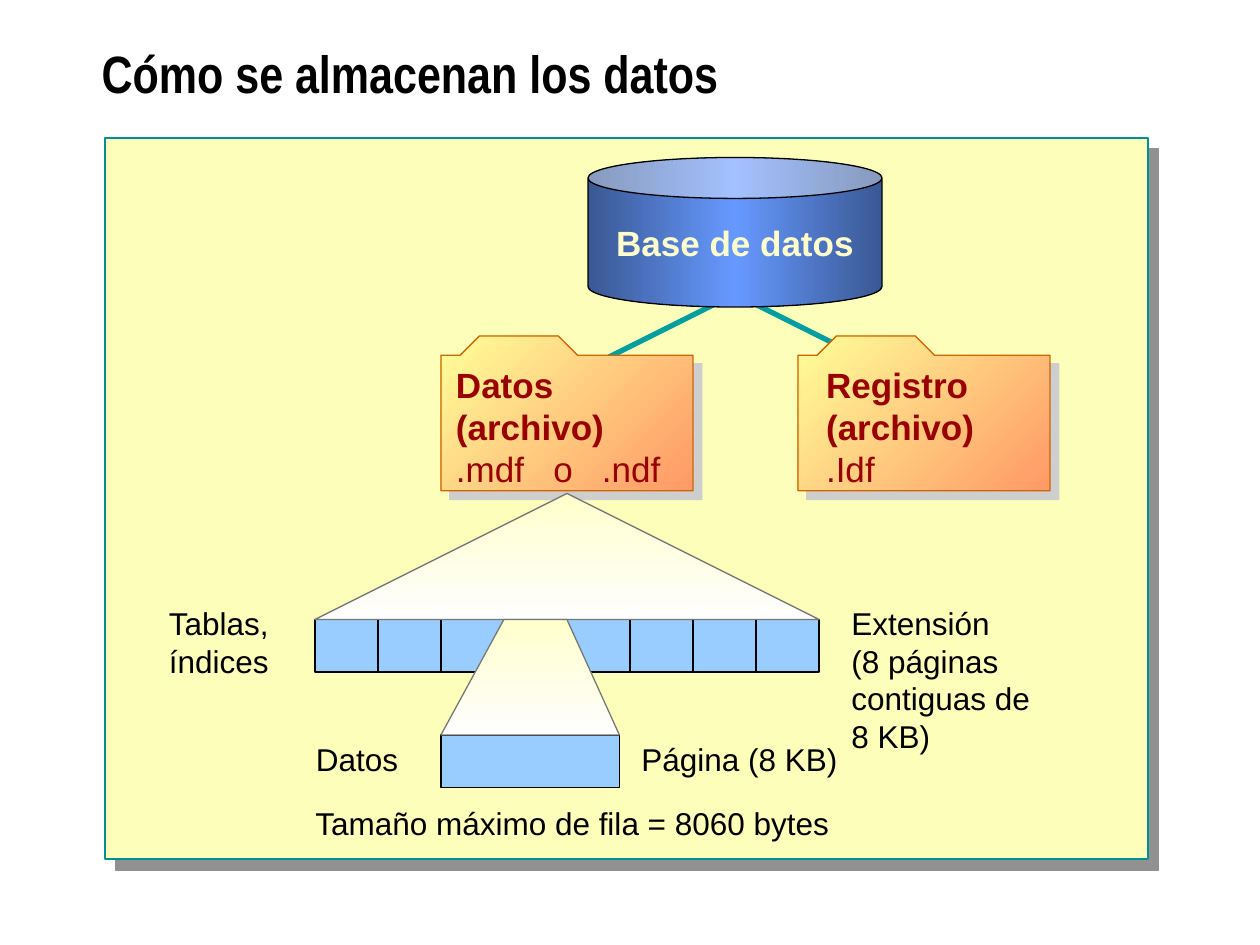
from lxml.etree import SubElement
from pptx import Presentation
from pptx.dml.color import RGBColor
from pptx.enum.shapes import MSO_CONNECTOR, MSO_SHAPE as SHAPE
from pptx.enum.text import MSO_ANCHOR as ANCHOR, PP_ALIGN as ALIGN
from pptx.oxml.ns import qn
from pptx.util import Pt

COLORS = {
    "panel": "FCFEB9", "panel_line": "009094", "panel_shadow": "919191",
    "link": "009EA1", "folder_dark": "FF9966", "folder_light": "FFFF99",
    "folder_line": "CC6600", "folder_shadow": "CECECE", "folder_text": "990000",
    "can_edge": "3A5893", "can_middle": "6699FF", "cream": "FFFFCC",
    "white": "FEFEFE", "zoom_line": "777777", "page": "99CCFF", "black": "000000",
}


def rgb(name):
    """Return the palette colour called name."""
    return RGBColor.from_string(COLORS[name])


def paint(shape, fill, line, width=0.75, angle=0, shadow=None, distance=0):
    """Fill and outline a shape; several fill names make a gradient."""
    if isinstance(fill, str):
        shape.fill.solid()
        shape.fill.fore_color.rgb = rgb(fill)
    else:
        shape.fill.gradient()
        shape.fill.gradient_angle = 360 - angle
        stops = shape._element.spPr.find(qn("a:gradFill")).find(qn("a:gsLst"))
        for stop in list(stops):
            stops.remove(stop)
        for index, name in enumerate(fill):
            position = 100000 * index // (len(fill) - 1)
            stop = SubElement(stops, qn("a:gs"), pos=str(position))
            SubElement(stop, qn("a:srgbClr"), val=COLORS[name])
    shape.line.color.rgb = rgb(line)
    shape.line.width = Pt(width)
    shape.shadow.inherit = False
    if shadow:
        effects = shape._element.spPr.find(qn("a:effectLst"))
        outer = SubElement(effects, qn("a:outerShdw"), blurRad="0", dist=str(Pt(distance)),
                           dir="2700000", algn="ctr", rotWithShape="0")
        SubElement(outer, qn("a:srgbClr"), val=COLORS[shadow])


def add_preset(slide, kind, box, fill, line, **style):
    """Add a painted preset shape in the box."""
    shape = slide.shapes.add_shape(kind, *map(Pt, box))
    paint(shape, fill, line, **style)
    return shape


def add_outline(slide, points, fill, line, **style):
    """Add a painted closed outline through the points."""
    start, *others = [(Pt(x), Pt(y)) for x, y in points]
    builder = slide.shapes.build_freeform(*start)
    builder.add_line_segments(others, close=True)
    paint(builder.convert_to_shape(), fill, line, **style)


def write(frame, text, size=18, color="black", font="Arial", bold=False, plain_last=False,
          align=ALIGN.LEFT, anchor=ANCHOR.TOP, wrap=True, spacing=None, inset=(7.2, 3.6), tabs=()):
    """Write text into a frame; line breaks are marked with a vertical tab."""
    frame.word_wrap = wrap
    frame.vertical_anchor = anchor
    frame.margin_left = frame.margin_right = Pt(inset[0])
    frame.margin_top = frame.margin_bottom = Pt(inset[1])
    frame.text = text
    for paragraph in frame.paragraphs:
        paragraph.alignment = align
        if spacing:
            paragraph.line_spacing = spacing
        if tabs:
            stops = SubElement(paragraph._p.get_or_add_pPr(), qn("a:tabLst"))
            for place in tabs:
                SubElement(stops, qn("a:tab"), pos=str(Pt(place)), algn="l")
        for run in paragraph.runs:
            run.font.size = Pt(size)
            run.font.name = font
            run.font.color.rgb = rgb(color)
            run.font.bold = bold
        if plain_last:
            paragraph.runs[-1].font.bold = False


def add_label(slide, box, text, **style):
    """Add a text box with formatted text."""
    write(slide.shapes.add_textbox(*map(Pt, box)).text_frame, text, **style)


def add_link(slide, start, end):
    """Join the database to one of its files."""
    link = slide.shapes.add_connector(MSO_CONNECTOR.STRAIGHT, *map(Pt, (*start, *end)))
    link.line.color.rgb = rgb("link")
    link.line.width = Pt(3)
    SubElement(link._element.spPr, qn("a:effectLst"))


def add_folder(slide, box, text, indent, text_width, tabs=()):
    """Draw a tabbed folder and its caption."""
    left, top, width, height = box
    right, bottom, shoulder = left + width, top + height, top + 11
    points = [(left, shoulder), (left, bottom), (right, bottom), (right, shoulder),
              (left + 78, shoulder), (left + 67, top), (left + 22, top), (left + 11, shoulder)]
    add_outline(slide, points, ("folder_dark", "folder_light"), "folder_line",
                angle=225, shadow="folder_shadow", distance=7.1)
    add_label(slide, (left + indent, top + 12, text_width, 79), text, size=20,
              color="folder_text", bold=True, plain_last=True, tabs=tabs)


def add_database(slide, box):
    """Draw the database with its data and log files below."""
    left, top, width, height = box
    center = left + width / 2
    for side in (-1, 1):
        add_link(slide, (center, top + 78), (center + side * 72, top + 114))
    can = add_preset(slide, SHAPE.CAN, box, ("can_edge", "can_middle", "can_edge"),
                     "black", angle=180)
    can.adjustments[0] = 0.274
    write(can.text_frame, "Base de datos", size=20, color="cream", bold=True,
          align=ALIGN.CENTER, anchor=ANCHOR.MIDDLE, wrap=False)
    add_folder(slide, (left - 84, top + 102, 144, 88.5),
               "Datos\v(archivo)\v.mdf\to\t.ndf", 1.5, 133, tabs=(55.6, 83.4))
    add_folder(slide, (left + 120, top + 102, 144, 88.5),
               "Registro\v(archivo)\v.Idf", 9, 100)


def add_extent(slide, box):
    """Draw the extent, its eight pages and one page enlarged."""
    left, top, width, height = box
    row, page_top = top + 72, top + 138
    cell, page_width, page_height = width / 8, 102, 30
    for index in range(8):
        add_preset(slide, SHAPE.RECTANGLE, (left + index * cell, row, cell, page_height),
                   "page", "black")
    add_preset(slide, SHAPE.ISOSCELES_TRIANGLE, (left, top, width, row - top),
               ("cream", "white"), "zoom_line", angle=90)
    page_left = left + 2 * cell
    add_preset(slide, SHAPE.RECTANGLE, (page_left, page_top, page_width, page_height),
               "page", "black")
    add_outline(slide, [(page_left, page_top), (left + 3 * cell, row), (left + 4 * cell, row),
                        (page_left + page_width, page_top)],
                ("cream", "white"), "zoom_line", angle=90)
    labels = [
        ((left - 90, row - 12, 78, 50), "Tablas,\níndices"),
        ((left + 300, row - 12, 126, 93), "Extensión\v(8 páginas contiguas de 8 KB)"),
        ((left - 6, page_top, 79, 28), "Datos"),
        ((left + 180, page_top, 127, 28), "Página (8 KB)"),
    ]
    for place, text in labels:
        add_label(slide, place, text, inset=(6.5, 3))
    add_label(slide, (left - 24, page_top + 36, 342, 29),
              "Tamaño máximo de fila = 8060 bytes", align=ALIGN.CENTER)


def add_storage_panel(slide, box):
    """Draw the panel and the storage diagram in it."""
    left, top, width, height = box
    add_preset(slide, SHAPE.RECTANGLE, box, "panel", "panel_line", width=1,
               shadow="panel_shadow", distance=8.5)
    add_database(slide, (left + 276, top + 11, 168, 85.5))
    add_extent(slide, (left + 120, top + 203, 288, 168))


def main():
    """Build and save the slide."""
    deck = Presentation()
    deck.slide_width, deck.slide_height = Pt(720), Pt(540)
    slide = deck.slides.add_slide(deck.slide_layouts[6])
    add_label(slide, (51, 12, 645, 66), "Cómo se almacenan los datos", size=30,
              font="Arial Narrow", bold=True, anchor=ANCHOR.MIDDLE, spacing=0.8)
    add_storage_panel(slide, (60, 79, 596, 412))
    deck.save("out.pptx")


if __name__ == "__main__":
    main()
